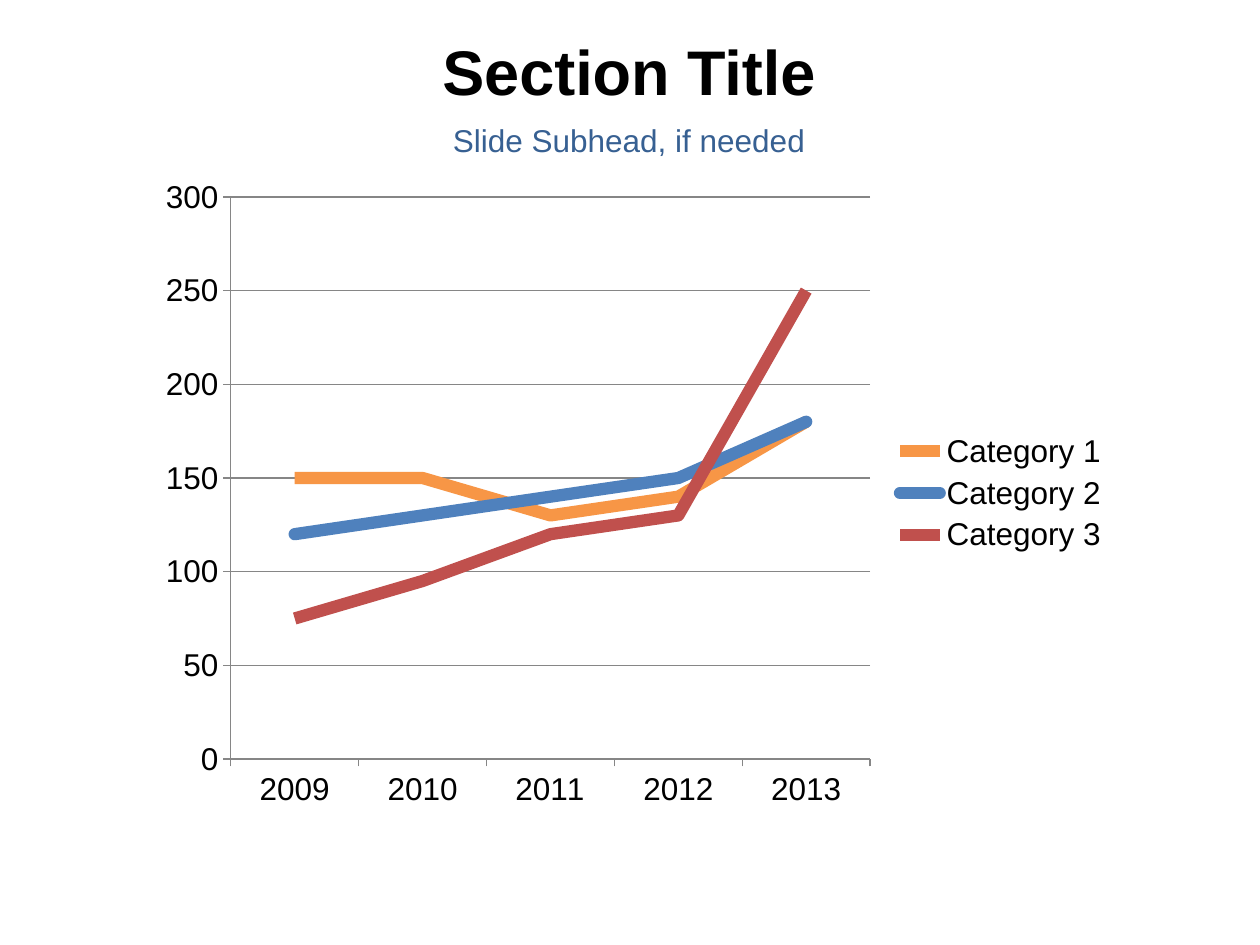
from pptx import Presentation
from pptx.chart.data import CategoryChartData
from pptx.dml.color import RGBColor
from pptx.enum.chart import XL_CHART_TYPE, XL_LEGEND_POSITION, XL_MARKER_STYLE, XL_TICK_MARK
from pptx.enum.text import MSO_ANCHOR, PP_ALIGN
from pptx.oxml.ns import qn
from pptx.util import Cm, Pt

BLACK = RGBColor(0x00, 0x00, 0x00)
GREY = RGBColor(0x86, 0x86, 0x86)
NAVY = RGBColor(0x37, 0x60, 0x92)
ORANGE = RGBColor(0xF7, 0x96, 0x46)
BLUE = RGBColor(0x4F, 0x81, 0xBD)
RED = RGBColor(0xC0, 0x50, 0x4D)
FONT = "Arial"

prs = Presentation()
prs.slide_width, prs.slide_height = Cm(25.4), Cm(19.05)
s = prs.slides.add_slide(prs.slide_layouts[5])

# Title and subhead
title = s.shapes.title
title.left, title.top, title.width, title.height = Cm(3.56), Cm(0.53), Cm(18.24), Cm(1.8)
subhead = s.shapes.add_textbox(Cm(3.56), Cm(2.31), Cm(18.24), Cm(1.02))
for sp, text, size, color, bold in [
    (title, "Section Title", 36, BLACK, True),
    (subhead, "Slide Subhead, if needed", 18, NAVY, False),
]:
    tf = sp.text_frame
    tf.text = text
    tf.word_wrap = True
    tf.vertical_anchor = MSO_ANCHOR.TOP
    p = tf.paragraphs[0]
    p.alignment = PP_ALIGN.CENTER
    font = p.runs[0].font
    font.name, font.size, font.bold = FONT, Pt(size), bold
    font.color.rgb = color

# Line chart
series_rows = [
    ("Category 1", (150, 150, 130, 140, 180), ORANGE, "flat"),
    ("Category 2", (120, 130, 140, 150, 180), BLUE, "rnd"),
    ("Category 3", (75, 95, 120, 130, 250), RED, "flat"),
]
data = CategoryChartData()
data.categories = ["2009", "2010", "2011", "2012", "2013"]
for name, values, color, cap in series_rows:
    data.add_series(name, values)
chart = s.shapes.add_chart(
    XL_CHART_TYPE.LINE, Cm(2.95), Cm(3.35), Cm(19.66), Cm(13.18), data
).chart
chart.has_title = False
chart.font.name, chart.font.size = FONT, Pt(18)
chart.font.color.rgb = BLACK
chart.has_legend = True
chart.legend.position = XL_LEGEND_POSITION.RIGHT
chart.legend.include_in_layout = False
chart.legend.font.size = Pt(18)

value_axis = chart.value_axis
value_axis.minimum_scale, value_axis.maximum_scale = 0, 300
value_axis.major_unit = 50
value_axis.has_major_gridlines = True
for axis in (chart.category_axis, value_axis):
    axis.major_tick_mark = XL_TICK_MARK.OUTSIDE
    axis.minor_tick_mark = XL_TICK_MARK.NONE
for part in (chart.category_axis, value_axis, value_axis.major_gridlines):
    part.format.line.color.rgb = GREY
    part.format.line.width = Pt(0.75)

plot = chart.plots[0]
plot.vary_by_categories = False
for series, (name, values, color, cap) in zip(plot.series, series_rows):
    series.smooth = False
    series.marker.style = XL_MARKER_STYLE.NONE
    series.format.line.color.rgb = color
    series.format.line.width = Pt(7)
    series._element.find(qn("c:spPr")).find(qn("a:ln")).set("cap", cap)

prs.save("out.pptx")
